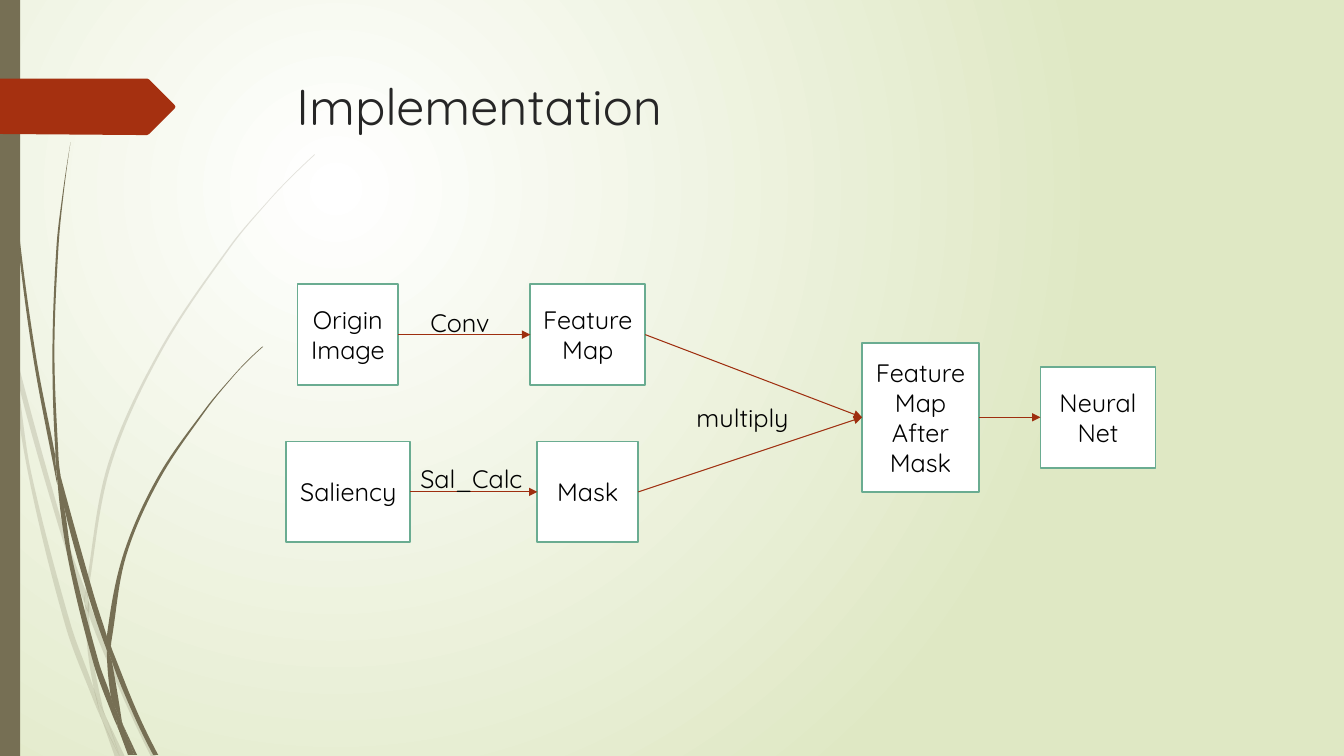
from dataclasses import dataclass
from math import dist

from lxml import etree
from pptx import Presentation
from pptx import util as u
from pptx.dml.color import RGBColor
from pptx.enum import shapes, text
from pptx.oxml.ns import qn

Point = tuple[float, float]
Edge = list[Point]

FONT = "Quicksand"
WHITE = RGBColor(0xFF, 0xFF, 0xFF)
BLACK = RGBColor(0x00, 0x00, 0x00)
TITLE_GRAY = RGBColor(0x26, 0x26, 0x26)
PALE_GREEN = RGBColor(0xDF, 0xE8, 0xC4)
OLIVE = RGBColor(0x76, 0x6F, 0x54)
RED = RGBColor(0xA5, 0x30, 0x10)
ARROW_RED = RGBColor(0x9E, 0x2E, 0x0F)
BOX_GREEN = RGBColor(0x6A, 0xAC, 0x91)
LEFT_SITE, RIGHT_SITE = 1, 3


@dataclass
class Box:
    caption: str
    left: float
    top: float
    width: float
    height: float = 1.0


@dataclass
class Label:
    caption: str
    left: float
    top: float
    width: float


# Grass pieces: left edge going down, then right edge going up
PALE_GRASS: list[tuple[Edge, Edge]] = [
    ([(0, 2.99), (.1, 3.44), (.11, 3.5)], [(.11, 3.5), (.09, 3.22), (0, 2.82)]),
    ([(.14, 3.45), (.17, 3.76), (.58, 5.22), (.84, 5.99)],
     [(.85, 5.86), (.62, 5.2), (.14, 3.45)]),
    ([(.88, 5.96), (.88, 6.1), (1.23, 6.94), (1.5, 7.51)],
     [(1.55, 7.51), (1.27, 6.92), (.92, 6.07), (.88, 5.96)]),
    ([(1.05, 7.11), (1.19, 7.51)], [(1.24, 7.51), (1.05, 7.11)]),
    ([(.11, 3.5), (.28, 4.7), (.65, 6.21), (.92, 6.93), (1.01, 7.14)],
     [(.99, 7.07), (.93, 6.83), (.7, 6.19), (.31, 4.69), (.17, 3.76), (.11, 3.5)]),
    ([(.84, 5.99), (.87, 6.46), (.93, 6.83), (.96, 6.92), (1.05, 7.11)],
     [(1.03, 7.06), (.91, 6.46), (.88, 6.1), (.84, 5.99)]),
    ([(3.12, 1.53), (2.89, 1.75), (2.68, 1.97), (2.28, 2.44), (1.58, 3.48),
      (1.07, 4.61), (.85, 5.84), (.85, 5.86), (.88, 5.96)],
     [(.88, 5.96), (.88, 5.84), (1.1, 4.62), (1.6, 3.49), (2.29, 2.45),
      (2.68, 1.98), (2.9, 1.75), (3.12, 1.54)]),
    ([(1.01, 7.14), (1.14, 7.51)], [(1.19, 7.51), (1.01, 7.14)]),
    ([(.85, 5.86), (.84, 5.99), (.88, 6.08)], [(.88, 6.1), (.88, 5.96), (.85, 5.86)]),
    ([(.93, 6.83), (.99, 7.07), (1.01, 7.14), (1.19, 7.51)],
     [(1.19, 7.51), (1.05, 7.11), (.96, 6.92), (.93, 6.83)]),
]
DARK_GRASS: list[tuple[Edge, Edge]] = [
    ([(.03, 0), (.04, .48), (.07, 1.1), (.17, 2.33), (.33, 3.55), (.56, 4.77), (.57, 4.81)],
     [(.57, 4.81), (.55, 4.57), (.55, 4.53), (.36, 3.55), (.19, 2.32), (.08, 1.09),
      (.05, .48), (.04, 0)]),
    ([(.6, 4.72), (.64, 5.05), (.88, 5.92), (1.06, 6.45)],
     [(1.06, 6.33), (1.06, 6.31), (.93, 5.9), (.6, 4.72)]),
    ([(1.1, 6.41), (1.11, 6.56), (1.32, 7.08), (1.52, 7.49)],
     [(1.57, 7.49), (1.36, 7.06), (1.13, 6.49), (1.1, 6.41)]),
    ([(.57, 4.77), (.68, 5.57), (.93, 6.59), (1.11, 7.08), (1.17, 7.22)],
     [(1.16, 7.17), (1.1, 6.91), (.98, 6.57), (.72, 5.56), (.64, 5.05), (.57, 4.77)]),
    ([(.7, 1.41), (.62, 1.93), (.56, 2.45), (.52, 3.49), (.55, 4.49), (.6, 4.72)],
     [(.6, 4.72), (.58, 4.53), (.54, 3.49), (.58, 2.45), (.63, 1.93), (.7, 1.41)]),
    ([(1.22, 7.19), (1.33, 7.49)], [(1.36, 7.49), (1.22, 7.19)]),
    ([(.55, 4.49), (.55, 4.53), (.57, 4.77), (.64, 5.05)],
     [(.64, 5.05), (.6, 4.72), (.55, 4.49)]),
    ([(2.6, 3.44), (2.45, 3.58), (2.31, 3.73), (2.04, 4.05), (1.56, 4.74),
      (1.22, 5.51), (1.06, 6.31), (1.1, 6.41)],
     [(1.1, 6.41), (1.11, 6.33), (1.25, 5.52), (1.58, 4.76), (2.05, 4.06),
      (2.31, 3.74), (2.45, 3.59), (2.61, 3.44)]),
    ([(1.17, 7.22), (1.27, 7.49)], [(1.31, 7.49), (1.17, 7.22)]),
    ([(1.06, 6.45), (1.1, 6.91), (1.16, 7.06), (1.22, 7.19)],
     [(1.21, 7.16), (1.11, 6.56), (1.09, 6.51), (1.06, 6.45)]),
    ([(1.06, 6.31), (1.06, 6.45), (1.09, 6.51), (1.11, 6.56)],
     [(1.1, 6.41), (1.06, 6.31)]),
    ([(1.1, 6.91), (1.16, 7.17), (1.17, 7.22), (1.3, 7.49)],
     [(1.33, 7.49), (1.22, 7.19), (1.16, 7.06), (1.1, 6.91)]),
]
RED_TAG = [(0, .78), (1.46, .78), (1.48, .79), (1.73, 1.04), (1.74, 1.06),
           (1.73, 1.08), (1.48, 1.33), (1.46, 1.34), (1.36, 1.34), (0, 1.33)]

BOXES = {
    "origin": Box("Origin Image", 2.95, 2.82, 1),
    "saliency": Box("Saliency", 2.84, 4.38, 1.23),
    "feature": Box("Feature Map", 5.26, 2.82, 1.14),
    "mask": Box("Mask", 5.33, 4.38, 1),
    "masked": Box("Feature Map After Mask", 8.55, 3.4, 1.16, 1.48),
    "network": Box("Neural Net", 10.32, 3.64, 1.14),
}
ARROWS = [("origin", "feature"), ("saliency", "mask"), ("feature", "masked"),
          ("mask", "masked"), ("masked", "network")]
LABELS = [Label("Conv", 4.17, 3, .87), Label("Sal_Calc", 4.07, 4.55, 1.27),
          Label("multiply", 6.81, 3.94, 1.14)]


def bezier_controls(edge: Edge) -> list[tuple[Point, Point]]:
    """Control points of a smooth curve through the edge, span by span."""
    inner = [((c[0] - a[0]) / (dist(a, b) + dist(b, c)), (c[1] - a[1]) / (dist(a, b) + dist(b, c)))
             for a, b, c in zip(edge, edge[1:], edge[2:])]
    controls = []
    for p, q, start, end in zip(edge, edge[1:], [None, *inner], [*inner, None]):
        length = dist(p, q)
        chord = ((q[0] - p[0]) / length, (q[1] - p[1]) / length)
        start, end = start or end or chord, end or start or chord
        if p == edge[0]:
            start = (2 * chord[0] - end[0], 2 * chord[1] - end[1])
        elif q == edge[-1]:
            end = (2 * chord[0] - start[0], 2 * chord[1] - start[1])
        third = length / 3
        controls.append(((p[0] + third * start[0], p[1] + third * start[1]),
                         (q[0] - third * end[0], q[1] - third * end[1])))
    return controls


def paint(shape, color: RGBColor) -> None:
    shape.shadow.inherit = False
    shape.fill.solid()
    shape.fill.fore_color.rgb = color
    shape.line.fill.background()


def add_outline(slide, points: list[Point], color: RGBColor):
    corners = [(u.Inches(x), u.Inches(y)) for x, y in points]
    builder = slide.shapes.build_freeform(*corners[0])
    builder.add_line_segments(corners[1:], close=True)
    shape = builder.convert_to_shape()
    paint(shape, color)
    return shape


def add_grass(slide, down: Edge, up: Edge, opacity: int) -> None:
    shape = add_outline(slide, down + up, OLIVE)
    spans = [*bezier_controls(down), None, *bezier_controls(up)]
    for line, controls in zip(list(shape.element.iter(qn("a:lnTo"))), spans):
        if controls:
            line.tag = qn("a:cubicBezTo")
            for index, (x, y) in enumerate(controls):
                line.insert(index, etree.Element(
                    qn("a:pt"), x=str(u.Inches(x) - shape.left), y=str(u.Inches(y) - shape.top)))
    if opacity < 100:
        fill_color = shape.element.spPr.find(".//" + qn("a:srgbClr"))
        etree.SubElement(fill_color, qn("a:alpha"), val=str(opacity * 1000))


def add_run(paragraph, caption: str, size: int, color: RGBColor) -> None:
    run = paragraph.add_run()
    run.text = caption
    run.font.name, run.font.size = FONT, u.Pt(size)
    run.font.color.rgb = color


def add_box(slide, box: Box):
    frame = map(u.Inches, (box.left, box.top, box.width, box.height))
    shape = slide.shapes.add_shape(shapes.MSO_SHAPE.RECTANGLE, *frame)
    paint(shape, WHITE)
    shape.line.color.rgb = BOX_GREEN
    shape.line.width = u.Pt(1.25)
    shape.text_frame.vertical_anchor = text.MSO_ANCHOR.MIDDLE
    paragraph = shape.text_frame.paragraphs[0]
    paragraph.alignment = text.PP_ALIGN.CENTER
    add_run(paragraph, box.caption, 18, BLACK)
    return shape


def add_arrow(slide, source, target) -> None:
    arrow = slide.shapes.add_connector(shapes.MSO_CONNECTOR.STRAIGHT, 0, 0, 0, 0)
    arrow.begin_connect(source, RIGHT_SITE)
    arrow.end_connect(target, LEFT_SITE)
    arrow.line.color.rgb = ARROW_RED
    arrow.line.width = u.Pt(.75)
    etree.SubElement(arrow.element.spPr.find(qn("a:ln")), qn("a:tailEnd"), type="triangle")
    etree.SubElement(arrow.element.spPr, qn("a:effectLst"))


def add_label(slide, label: Label) -> None:
    frame = map(u.Inches, (label.left, label.top, label.width, .4))
    shape = slide.shapes.add_textbox(*frame)
    shape.text_frame.word_wrap = False
    shape.text_frame.auto_size = text.MSO_AUTO_SIZE.SHAPE_TO_FIT_TEXT
    add_run(shape.text_frame.paragraphs[0], label.caption, 18, BLACK)


def set_background(slide) -> None:
    fill = slide.background.fill
    fill.gradient()
    for stop, color in zip(fill.gradient_stops, (WHITE, PALE_GREEN)):
        stop.color.rgb = color
    gradient = slide.element.find(".//" + qn("a:gradFill"))
    gradient.remove(gradient.find(qn("a:lin")))
    circle = etree.SubElement(gradient, qn("a:path"), path="circle")
    etree.SubElement(circle, qn("a:fillToRect"), l="50000", t="50000", r="100000", b="100000")


def add_title(slide, caption: str) -> None:
    title = slide.shapes.title
    title.left, title.top, title.width, title.height = map(u.Inches, (2.84, .69, 9.75, 1.4))
    title.text_frame.vertical_anchor = text.MSO_ANCHOR.TOP
    title.text_frame.auto_size = text.MSO_AUTO_SIZE.NONE
    paragraph = title.text_frame.paragraphs[0]
    paragraph.alignment = text.PP_ALIGN.LEFT
    add_run(paragraph, caption, 36, TITLE_GRAY)


def main() -> None:
    presentation = Presentation()
    presentation.slide_width, presentation.slide_height = u.Inches(13.33), u.Inches(7.5)
    slide = presentation.slides.add_slide(presentation.slide_layouts[5])
    # Backdrop: gradient, grass, side bar and red tag
    set_background(slide)
    for pieces, opacity in ((PALE_GRASS, 20), (DARK_GRASS, 100)):
        for down, up in pieces:
            add_grass(slide, down, up, opacity)
    side_bar = slide.shapes.add_shape(shapes.MSO_SHAPE.RECTANGLE, 0, 0, u.Inches(.2), u.Inches(7.5))
    paint(side_bar, OLIVE)
    add_outline(slide, RED_TAG, RED)
    # Title and flow diagram
    add_title(slide, "Implementation")
    drawn = {name: add_box(slide, box) for name, box in BOXES.items()}
    for source, target in ARROWS:
        add_arrow(slide, drawn[source], drawn[target])
    for label in LABELS:
        add_label(slide, label)
    presentation.save("out.pptx")


if __name__ == "__main__":
    main()
